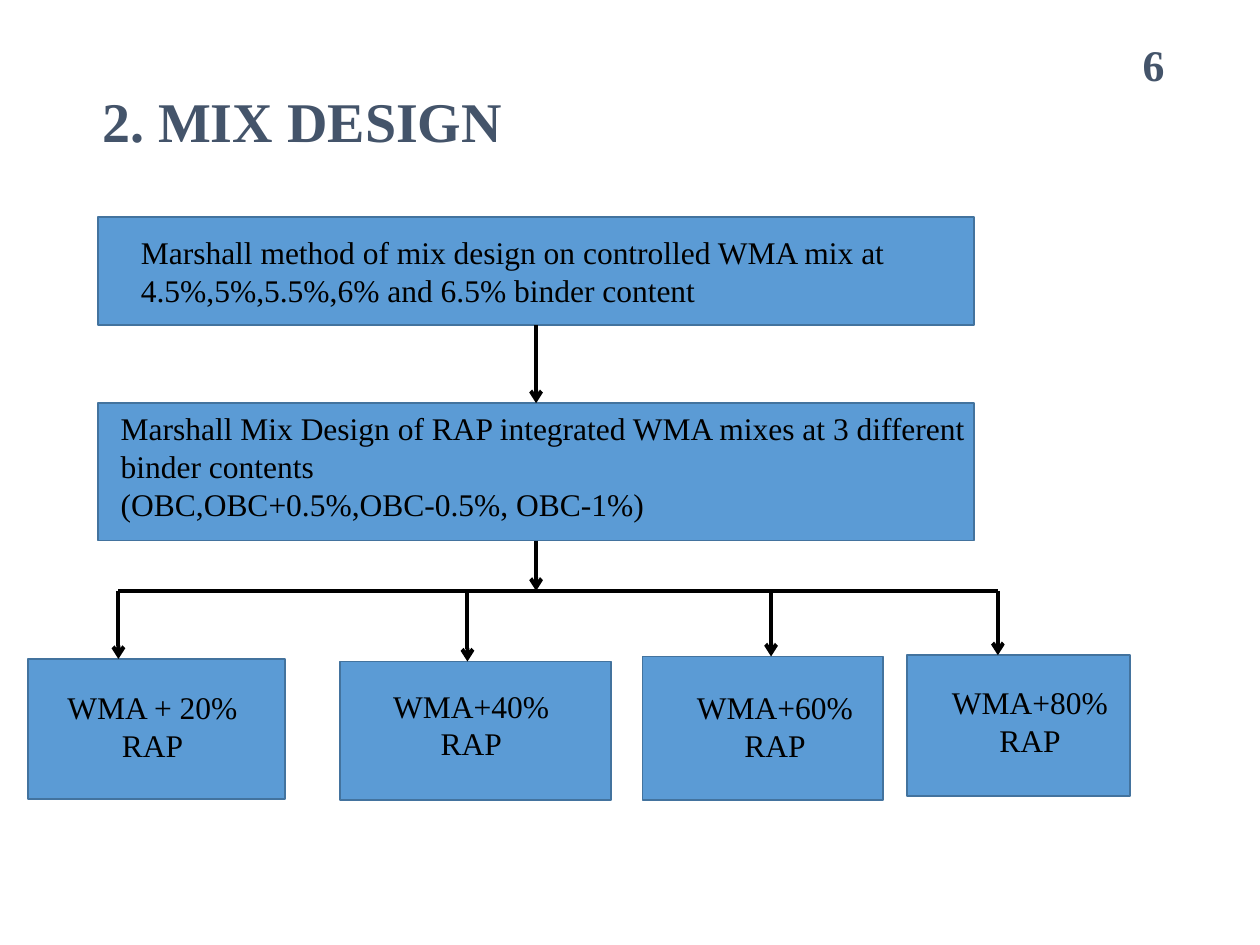
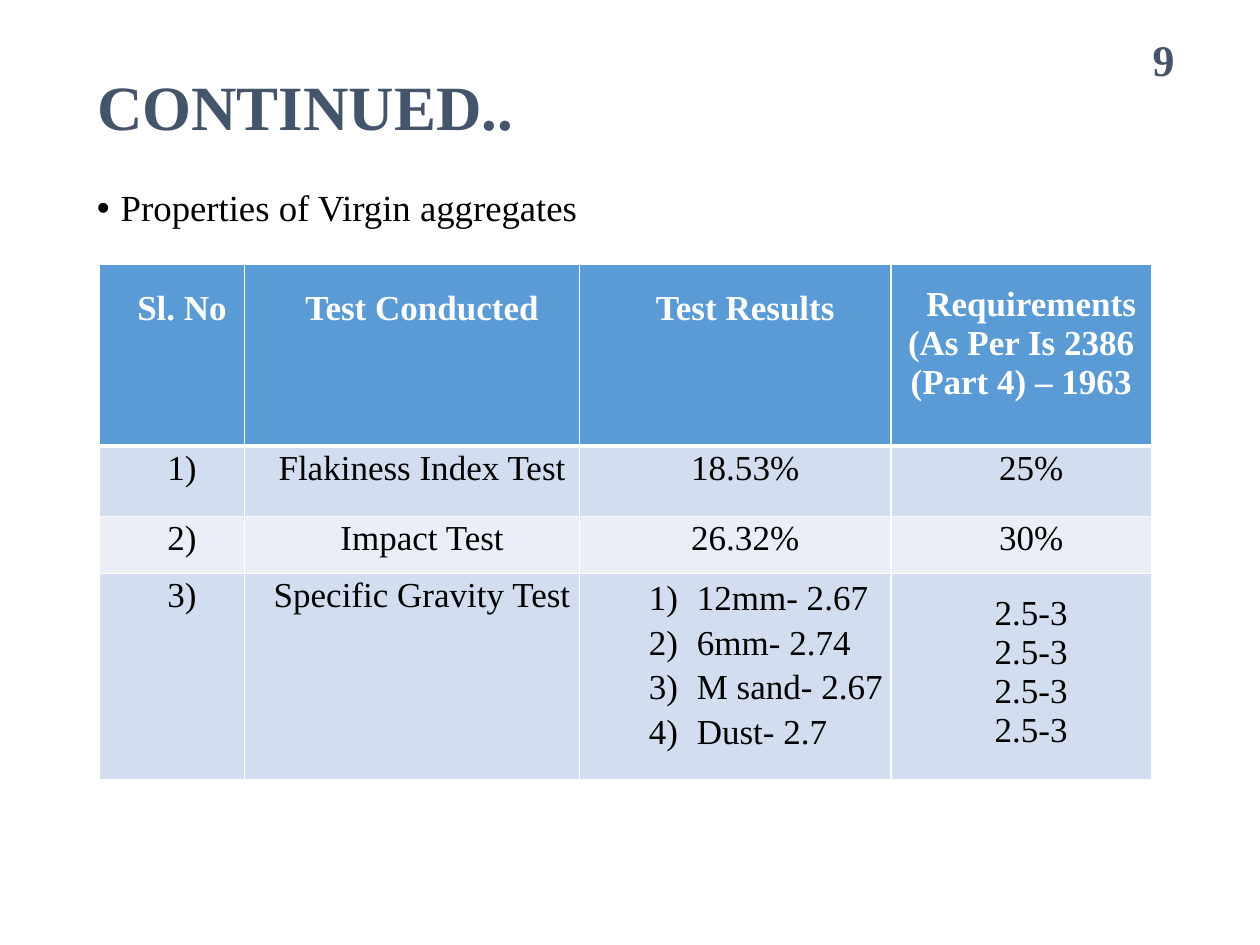
from lxml import etree
from pptx import Presentation
from pptx.dml.color import RGBColor
from pptx.enum.shapes import MSO_CONNECTOR, MSO_SHAPE
from pptx.enum.text import MSO_ANCHOR, MSO_AUTO_SIZE, PP_ALIGN
from pptx.oxml.ns import qn
from pptx.util import Inches, Pt

STRAIGHT = MSO_CONNECTOR.STRAIGHT
RECTANGLE = MSO_SHAPE.RECTANGLE
LEFT, CENTER, RIGHT, JUSTIFY = PP_ALIGN.LEFT, PP_ALIGN.CENTER, PP_ALIGN.RIGHT, PP_ALIGN.JUSTIFY
MIDDLE, TOP = MSO_ANCHOR.MIDDLE, MSO_ANCHOR.TOP
NO_AUTOFIT = MSO_AUTO_SIZE.NONE

FONT = "Times New Roman"
SLATE, BLUE, BLUE_EDGE = "44546A", "5B9BD5", "43739E"
BLACK, WHITE = "000000", "FFFFFF"
BANDS = ["D2DEEF", "EAEFF7"]
TOP_SIDE, BOTTOM_SIDE = 0, 2

MIX_TITLE = ("2. MIX DESIGN", 32, (0.71, 0.27, 6.94, 1.44))
MIX_NUMBER = ("6", (8.78, 0.31, 0.56, 0.4))
STEPS = [
    {"box": (0.78, 1.72, 6.95, 0.86), "label": (1.02, 1.8, 6.64, 1.01),
     "lines": ["Marshall method of mix design on controlled WMA mix at "
               "4.5%,5%,5.5%,6% and 6.5% binder content"]},
    {"box": (0.78, 3.2, 6.95, 1.09), "label": (0.86, 3.2, 6.95, 1.31),
     "lines": ["Marshall Mix Design of RAP integrated WMA mixes at 3 different binder contents",
               "(OBC,OBC+0.5%,OBC-0.5%, OBC-1%)"]},
]
BRANCH_Y = 4.69
BRANCHES = [
    {"box": (0.22, 5.23, 2.04, 1.11), "label": (0.31, 5.41, 1.8, 1.01),
     "lines": ["WMA + 20% RAP"], "arrow_x": 0.94},
    {"box": (2.7, 5.25, 2.15, 1.1), "label": (2.84, 5.4, 1.8, 1.01),
     "lines": ["WMA+40% RAP"], "arrow_x": 3.71},
    {"box": (5.1, 5.21, 1.91, 1.14), "label": (5.29, 5.41, 1.72, 1.01),
     "lines": ["WMA+60% RAP"], "arrow_x": 6.12},
    {"box": (7.2, 5.2, 1.77, 1.12), "label": (7.41, 5.37, 1.53, 1.31),
     "lines": ["WMA+80% RAP"], "arrow_x": 7.92},
]

TESTS_TITLE = ("CONTINUED..", 36, (0.67, 0.47, 6.38, 0.8))
TESTS_NUMBER = ("9", (8.86, 0.27, 0.56, 0.4))
TESTS_BULLET = "Properties of Virgin aggregates"
TABLE_PLACE = (0.79, 2.1, 8.35, 4.09)
COLUMN_WIDTHS = [1.15, 2.66, 2.47, 2.07]
ROW_HEIGHTS = [1.44, 0.56, 0.45, 1.64]
TESTS = [
    ["Sl. No", "Test Conducted", "Test Results", "Requirements (As Per Is 2386 (Part 4) – 1963"],
    ["1)", "Flakiness Index Test", "18.53%", "25%"],
    ["2)", "Impact Test", "26.32%", "30%"],
    ["3)", "Specific Gravity Test",
     ["12mm- 2.67", "6mm- 2.74", "M sand- 2.67", "Dust- 2.7"], ["2.5-3"] * 4],
]
NUMBERED_CELL = (3, 2)
LOOSE_CELLS = [(0, 3), (3, 3)]


def color(value):
    return RGBColor.from_string(value)


def write(frame, lines, size, ink=BLACK, bold=False, align=LEFT, anchor=TOP):
    frame.word_wrap = True
    frame.vertical_anchor = anchor
    frame.text = "\n".join(lines)
    for para in frame.paragraphs:
        para.alignment = align
        for span in para.runs:
            span.font.name = FONT
            span.font.size = Pt(size)
            span.font.bold = bold
            span.font.color.rgb = color(ink)


def indent(para, left, first):
    properties = para._p.get_or_add_pPr()
    properties.set("marL", str(Inches(left)))
    properties.set("indent", str(Inches(first)))
    return properties


def add_text(slide, place, lines, size, **style):
    box = slide.shapes.add_textbox(*map(Inches, place))
    write(box.text_frame, lines, size, **style)
    return box


def add_titled_slide(deck, title, number):
    slide = deck.slides.add_slide(deck.slide_layouts[5])
    text, size, place = title
    heading = slide.shapes.title
    heading.left, heading.top, heading.width, heading.height = map(Inches, place)
    write(heading.text_frame, [text], size, ink=SLATE, bold=True, anchor=MIDDLE)
    heading.text_frame.auto_size = NO_AUTOFIT
    heading.text_frame.paragraphs[0].line_spacing = 0.9
    digits, place = number
    add_text(slide, place, [digits], 25, ink=SLATE, bold=True, align=RIGHT, anchor=MIDDLE)
    return slide


def add_box(slide, place):
    box = slide.shapes.add_shape(RECTANGLE, *map(Inches, place))
    box.shadow.inherit = False
    box.fill.solid()
    box.fill.fore_color.rgb = color(BLUE)
    box.line.color.rgb = color(BLUE_EDGE)
    box.line.width = Pt(1)
    return box


def add_line(slide, start, end, arrow=True):
    line = slide.shapes.add_connector(STRAIGHT, *map(Inches, start + end))
    line.line.color.rgb = color(BLACK)
    line.line.width = Pt(2.25)
    if arrow:
        etree.SubElement(line.line._get_or_add_ln(), qn("a:tailEnd"), type="arrow")
    etree.SubElement(line._element.spPr, qn("a:effectLst"))
    return line


def build_mix_design(deck):
    slide = add_titled_slide(deck, MIX_TITLE, MIX_NUMBER)
    boxes = []
    for group, align in ((STEPS, LEFT), (BRANCHES, CENTER)):
        for node in group:
            boxes.append(add_box(slide, node["box"]))
            add_text(slide, node["label"], node["lines"], 18, align=align)

    first, second = boxes[:2]
    left, top, width, height = STEPS[1]["box"]
    middle = left + width / 2
    link = add_line(slide, (middle, 2.58), (middle, top))
    link.begin_connect(first, BOTTOM_SIDE)
    link.end_connect(second, TOP_SIDE)
    drop = add_line(slide, (middle, top + height), (middle, BRANCH_Y))
    drop.begin_connect(second, BOTTOM_SIDE)

    add_line(slide, (BRANCHES[0]["arrow_x"], BRANCH_Y),
             (BRANCHES[-1]["arrow_x"], BRANCH_Y), arrow=False)
    for branch in BRANCHES:
        x = branch["arrow_x"]
        add_line(slide, (x, BRANCH_Y), (x, branch["box"][1]))


def set_borders(cell, top, bottom):
    properties = cell._tc.get_or_add_tcPr()
    for side, points in (("L", 1), ("R", 1), ("T", top), ("B", bottom)):
        line = etree.SubElement(properties, qn(f"a:ln{side}"), w=str(Pt(points)))
        fill = etree.SubElement(line, qn("a:solidFill"))
        etree.SubElement(fill, qn("a:srgbClr"), val=WHITE)


def format_cell(cell, row, column, content):
    header = row == 0
    numbered = (row, column) == NUMBERED_CELL
    loose = (row, column) in LOOSE_CELLS
    lines = content if isinstance(content, list) else [content]
    write(cell.text_frame, lines, 20, ink=WHITE if header else BLACK, bold=header,
          align=JUSTIFY if numbered else CENTER)
    cell.margin_left = cell.margin_right = Inches(0.05)
    cell.margin_bottom = 0
    blank_lines = 0 if numbered else 2 if header and not loose else 1
    cell.margin_top = Pt(12 * blank_lines)
    for para in cell.text_frame.paragraphs:
        if numbered:
            para.level = 1
            para.line_spacing = 1.15
            properties = indent(para, 0.88, -0.38)
            etree.SubElement(properties, qn("a:buFont"), typeface="+mj-lt")
            etree.SubElement(properties, qn("a:buAutoNum"), type="arabicParenR")
        else:
            indent(para, 0, 0.16)
            if not loose:
                para.line_spacing = Pt(12)
    set_borders(cell, top=3 if row == 1 else 1, bottom=3 if header else 1)
    cell.fill.solid()
    cell.fill.fore_color.rgb = color(BLUE if header else BANDS[(row - 1) % 2])


def build_tests(deck):
    slide = add_titled_slide(deck, TESTS_TITLE, TESTS_NUMBER)
    intro = add_text(slide, (0.67, 1.46, 6.94, 0.5), [TESTS_BULLET], 21)
    para = intro.text_frame.paragraphs[0]
    para.line_spacing = 0.9
    para.space_before = Pt(7.5)
    properties = indent(para, 0.19, -0.19)
    etree.SubElement(properties, qn("a:buFont"), typeface="Arial")
    etree.SubElement(properties, qn("a:buChar"), char="•")

    table = slide.shapes.add_table(len(TESTS), len(COLUMN_WIDTHS),
                                   *map(Inches, TABLE_PLACE)).table
    for column, width in zip(table.columns, COLUMN_WIDTHS):
        column.width = Inches(width)
    for row, height in zip(table.rows, ROW_HEIGHTS):
        row.height = Inches(height)
    for row, contents in enumerate(TESTS):
        for column, content in enumerate(contents):
            format_cell(table.cell(row, column), row, column, content)


def main():
    deck = Presentation()
    deck.slide_width, deck.slide_height = Inches(10), Inches(7.5)
    build_mix_design(deck)
    build_tests(deck)
    deck.save("out.pptx")


if __name__ == "__main__":
    main()
